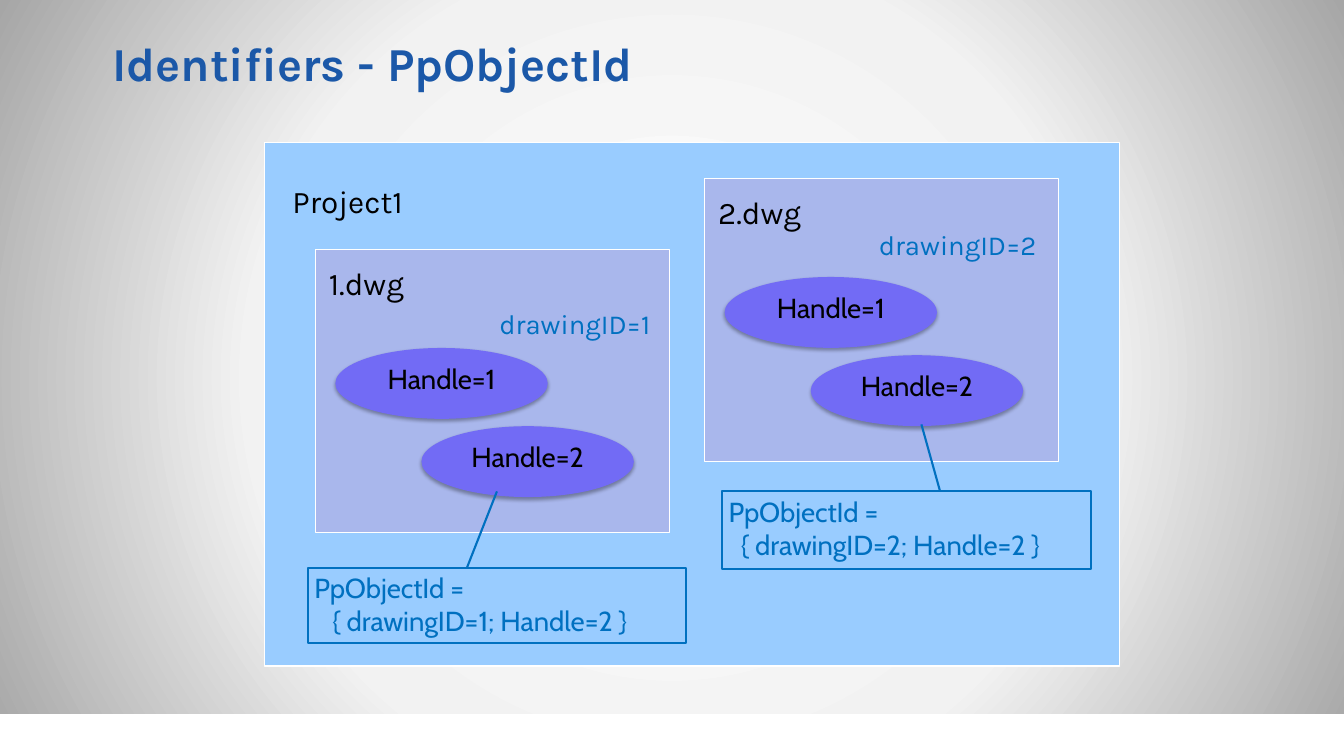
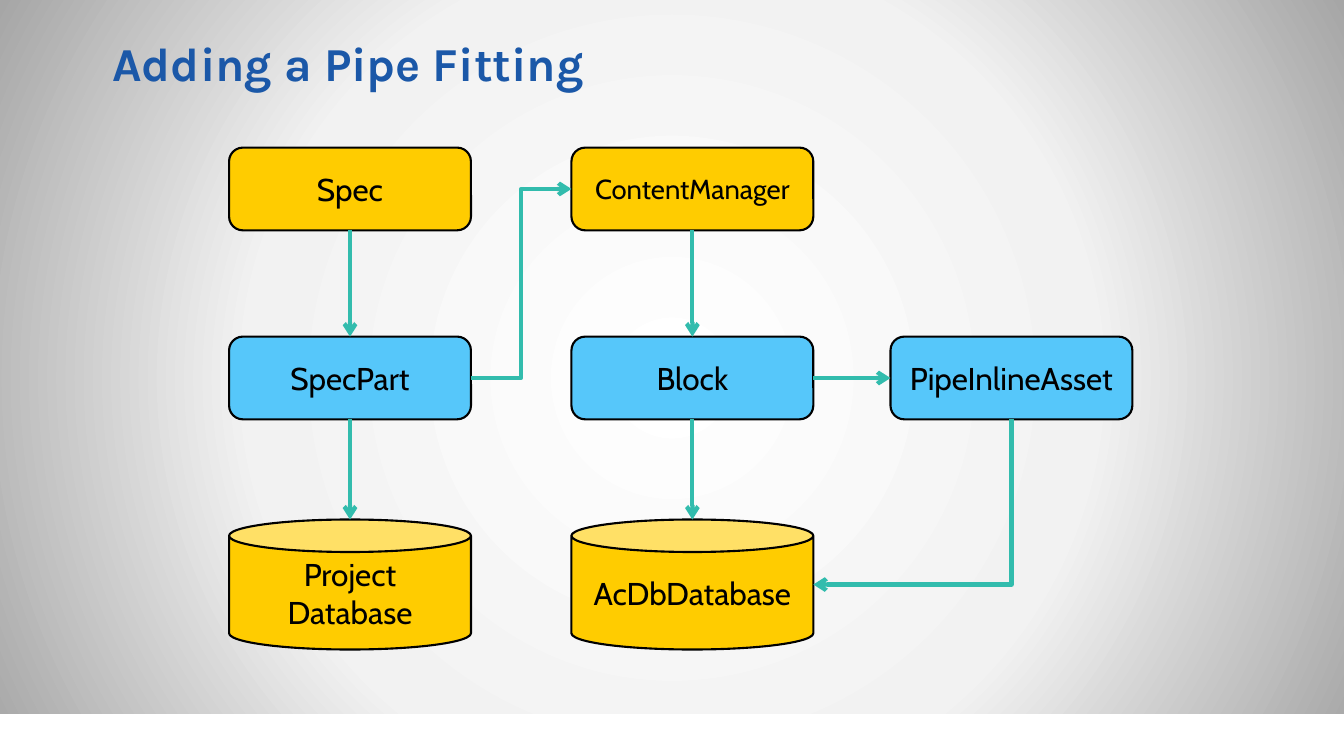
from dataclasses import dataclass

from lxml import etree
from pptx import Presentation
from pptx.dml.color import RGBColor
from pptx.enum.shapes import MSO_CONNECTOR, MSO_SHAPE
from pptx.enum.text import MSO_ANCHOR, PP_ALIGN
from pptx.oxml import parse_xml
from pptx.oxml.ns import nsdecls, qn
from pptx.util import Pt

RECT, OVAL, CAN = MSO_SHAPE.RECTANGLE, MSO_SHAPE.OVAL, MSO_SHAPE.CAN
ROUNDED, CALLOUT = MSO_SHAPE.ROUNDED_RECTANGLE, MSO_SHAPE.LINE_CALLOUT_1
STRAIGHT, ELBOW = MSO_CONNECTOR.STRAIGHT, MSO_CONNECTOR.ELBOW
LEFT, CENTER, RIGHT = PP_ALIGN.LEFT, PP_ALIGN.CENTER, PP_ALIGN.RIGHT
TOP, MIDDLE = MSO_ANCHOR.TOP, MSO_ANCHOR.MIDDLE
TOP_SIDE, LEFT_SIDE, BOTTOM_SIDE, RIGHT_SIDE = range(4)


@dataclass(frozen=True)
class Theme:
    width: float = 1280.16
    height: float = 720
    heading_font: str = "Karla"
    body_font: str = "Cabin"
    title_size: float = 45
    large: float = 30
    medium: float = 26.2
    title: str = "1B58A8"
    white: str = "FFFFFF"
    black: str = "000000"
    project: str = "99CCFF"
    drawing: str = "A9B7EC"
    handle: str = "726BF5"
    note: str = "0070C0"
    yellow: str = "FFCC00"
    blue: str = "56C7FA"
    arrow: str = "32BCAD"
    # position %, colour, opacity %
    backdrop: tuple = ((0, "FFFFFF", 100), (55, "F2F2F2", 100), (100, "A6A6A6", 56))


THEME = Theme()
INSETS = (6.5, 3.6, 6.5, 3.6)


class Deck:
    def __init__(self, theme):
        self.theme = theme
        self.prs = Presentation()
        self.prs.slide_width, self.prs.slide_height = Pt(theme.width), Pt(theme.height)
        self.slide = None
        self.set_backdrop()

    def set_backdrop(self):
        """Give the master a circular gradient that all slides inherit."""
        master = self.prs.slide_master
        master.background.fill.gradient()
        old = master.element.find(".//" + qn("a:gradFill"))
        stops = "".join(
            f'<a:gs pos="{pos * 1000}"><a:srgbClr val="{color}">'
            f'<a:alpha val="{alpha * 1000}"/></a:srgbClr></a:gs>'
            for pos, color, alpha in self.theme.backdrop)
        old.getparent().replace(old, parse_xml(
            f'<a:gradFill {nsdecls("a")} rotWithShape="1"><a:gsLst>{stops}</a:gsLst>'
            '<a:path path="circle"><a:fillToRect l="50000" t="50000" r="50000" b="50000"/>'
            '</a:path></a:gradFill>'))

    def new_slide(self, title):
        t = self.theme
        self.slide = self.prs.slides.add_slide(self.prs.slide_layouts[6])
        self.box(RECT, (0, 680, t.width, 40), t.white)
        self.label(title, (100, 26.6, 1115, 104.4), t.title_size, t.title,
                   bold=True, insets=(7.2, 6.5, 7.2, 3.6))

    def box(self, kind, rect, fill=None, line=None, line_width=1):
        sp = self.slide.shapes.add_shape(kind, *map(Pt, rect))
        sp.shadow.inherit = False
        if fill:
            sp.fill.solid()
            sp.fill.fore_color.rgb = RGBColor.from_string(fill)
        else:
            sp.fill.background()
        if line:
            sp.line.color.rgb = RGBColor.from_string(line)
            sp.line.width = Pt(line_width)
        else:
            sp.line.fill.background()
        return sp

    def set_text(self, sp, lines, size, color, font, align=LEFT, anchor=TOP,
                 insets=INSETS, bold=False):
        """Put one paragraph per line into a shape; return the paragraphs."""
        tf = sp.text_frame
        tf.word_wrap = True
        tf.vertical_anchor = anchor
        tf.margin_left, tf.margin_top, tf.margin_right, tf.margin_bottom = map(Pt, insets)
        for i, line in enumerate(lines):
            p = tf.add_paragraph() if i else tf.paragraphs[0]
            p.alignment = align
            p.font.size = Pt(size)
            self.add_run(p, line, size, color, font, bold)
        return tf.paragraphs

    def add_run(self, p, text, size, color, font, bold=False):
        r = p.add_run()
        r.text = text
        r.font.size, r.font.name, r.font.bold = Pt(size), font, bold
        r.font.color.rgb = RGBColor.from_string(color)

    def label(self, text, rect, size, color, align=LEFT, bold=False,
              insets=(7.2, 3.6, 7.2, 3.6)):
        sp = self.slide.shapes.add_textbox(*map(Pt, rect))
        self.set_text(sp, [text], size, color, self.theme.heading_font, align,
                      insets=insets, bold=bold)

    def container(self, name, rect, fill, inset_x, inset_y):
        """A white-edged panel with its name at the top left."""
        t = self.theme
        sp = self.box(RECT, rect, fill, t.white)
        self.set_text(sp, [name], t.large, t.black, t.heading_font,
                      insets=(inset_x, inset_y, 0, 0))

    def handle(self, text, x, y):
        t = self.theme
        sp = self.box(OVAL, (x, y, 202.3, 67.5), t.handle)
        effects = sp.element.spPr.find(qn("a:effectLst"))
        effects.append(parse_xml(
            f'<a:outerShdw {nsdecls("a")} blurRad="{Pt(3.5)}" dist="{Pt(2.2)}" dir="5400000" '
            f'rotWithShape="0"><a:srgbClr val="{t.black}"><a:alpha val="32000"/>'
            '</a:srgbClr></a:outerShdw>'))
        self.set_text(sp, [text], t.medium, t.black, t.body_font, CENTER)

    def drawing(self, number, x, y):
        t = self.theme
        self.container(f"{number}.dwg", (x, y, 337.7, 270), t.drawing, 13, 14)
        self.handle("Handle=1", x + 19.2, y + 93.8)
        self.handle("Handle=2", x + 101.2, y + 168.3)

    def callout(self, head, detail, rect, pointer, indent):
        t = self.theme
        sp = self.box(CALLOUT, rect, line=t.note, line_width=2)
        for i, value in enumerate(pointer):
            sp.adjustments[i] = value
        p = self.set_text(sp, [head], t.medium, t.note, t.body_font)[0]
        p.add_line_break()
        self.add_run(p, detail, t.medium, t.note, t.body_font)
        pPr = p._p.get_or_add_pPr()
        pPr.set("marL", str(Pt(indent)))
        pPr.set("indent", str(-Pt(indent)))

    def node(self, lines, rect, fill, kind=ROUNDED, size=None):
        t = self.theme
        sp = self.box(kind, rect, fill, t.black, 2)
        self.set_text(sp, lines, size or t.large, t.black, t.body_font, CENTER, MIDDLE)
        return sp

    def arrow(self, kind, start, end):
        c = self.slide.shapes.add_connector(kind, *map(Pt, start + end))
        c.line.color.rgb = RGBColor.from_string(self.theme.arrow)
        c.line.width = Pt(4)
        spPr = c.element.spPr
        etree.SubElement(spPr.find(qn("a:ln")), qn("a:tailEnd"), type="arrow")
        etree.SubElement(spPr, qn("a:effectLst"))
        return c

    def link(self, source, side, target, target_side=None):
        """Straight arrow; without target_side it drops to the target's top."""
        x, y = source.left + source.width / 2, source.top + source.height
        c = self.arrow(STRAIGHT, (x / Pt(1), y / Pt(1)), (x / Pt(1), target.top / Pt(1)))
        c.begin_connect(source, side)
        if target_side is not None:
            c.end_connect(target, target_side)

    def corner_arrow(self, start, end):
        """Arrow that goes down from start, then left to end."""
        (x1, y1), (x2, y2) = start, end
        cx, cy = (x1 + x2) / 2, (y1 + y2) / 2
        half_w, half_h = (y2 - y1) / 2, (x1 - x2) / 2
        c = self.arrow(ELBOW, (cx - half_w, cy - half_h), (cx + half_w, cy + half_h))
        spPr = c.element.spPr
        spPr.find(qn("a:xfrm")).set("rot", "5400000")
        spPr.find(qn("a:prstGeom")).set("prst", "bentConnector2")


def identifiers_slide(deck):
    t = deck.theme
    deck.new_slide("Identifiers - PpObjectId")
    deck.container("Project1", (252, 136, 814.3, 498.3), t.project, 26.5, 37.5)
    deck.drawing(1, 300.2, 237.6)
    deck.drawing(2, 671, 170)
    deck.callout("PpObjectId =", "{ drawingID=1; Handle=2 }", (293, 540.7, 360.7, 71.3),
                 (0.01, 0.42, -1.02, 0.5), 17)
    deck.callout("PpObjectId =", "{ drawingID=2; Handle=2 }", (687.6, 468, 352, 74.2),
                 (-0.01, 0.59, -0.86, 0.54), 11.5)
    deck.label("drawingID=1", (424, 288.7, 202.3, 38.9), t.medium, t.note, RIGHT)
    deck.label("drawingID=2", (809.3, 213.8, 185, 38.9), t.medium, t.note, RIGHT)


def pipe_fitting_slide(deck):
    t = deck.theme
    deck.new_slide("Adding a Pipe Fitting")
    columns = (218.2, 544.3, 848.2)
    source_y, part_y, store_y = 140.6, 320.6, 494.8
    w, h, store_h = 230.4, 78.8, 123.8

    spec_node = deck.node(["Spec"], (columns[0], source_y, w, h), t.yellow)
    spec_part, block, asset = (
        deck.node([name], (x, part_y, w, h), t.blue)
        for name, x in zip(("SpecPart", "Block", "PipeInlineAsset"), columns))
    manager = deck.node(["ContentManager"], (columns[1], source_y, w, h), t.yellow,
                        size=t.medium)
    project_db, acdb = (
        deck.node(lines, (x, store_y, w, store_h), t.yellow, CAN)
        for lines, x in zip((["Project", "Database"], ["AcDbDatabase"]), columns))

    for top, part, store in ((spec_node, spec_part, project_db), (manager, block, acdb)):
        deck.link(top, BOTTOM_SIDE, part, TOP_SIDE)
        deck.link(part, BOTTOM_SIDE, store)
    deck.link(block, RIGHT_SIDE, asset, LEFT_SIDE)
    deck.arrow(ELBOW, (columns[0] + w, part_y + h / 2), (columns[1], source_y + h / 2))
    deck.corner_arrow((columns[2] + w / 2, part_y + h),
                      (columns[1] + w, store_y + store_h / 2))


def main():
    deck = Deck(THEME)
    identifiers_slide(deck)
    pipe_fitting_slide(deck)
    deck.prs.save("out.pptx")


if __name__ == "__main__":
    main()
